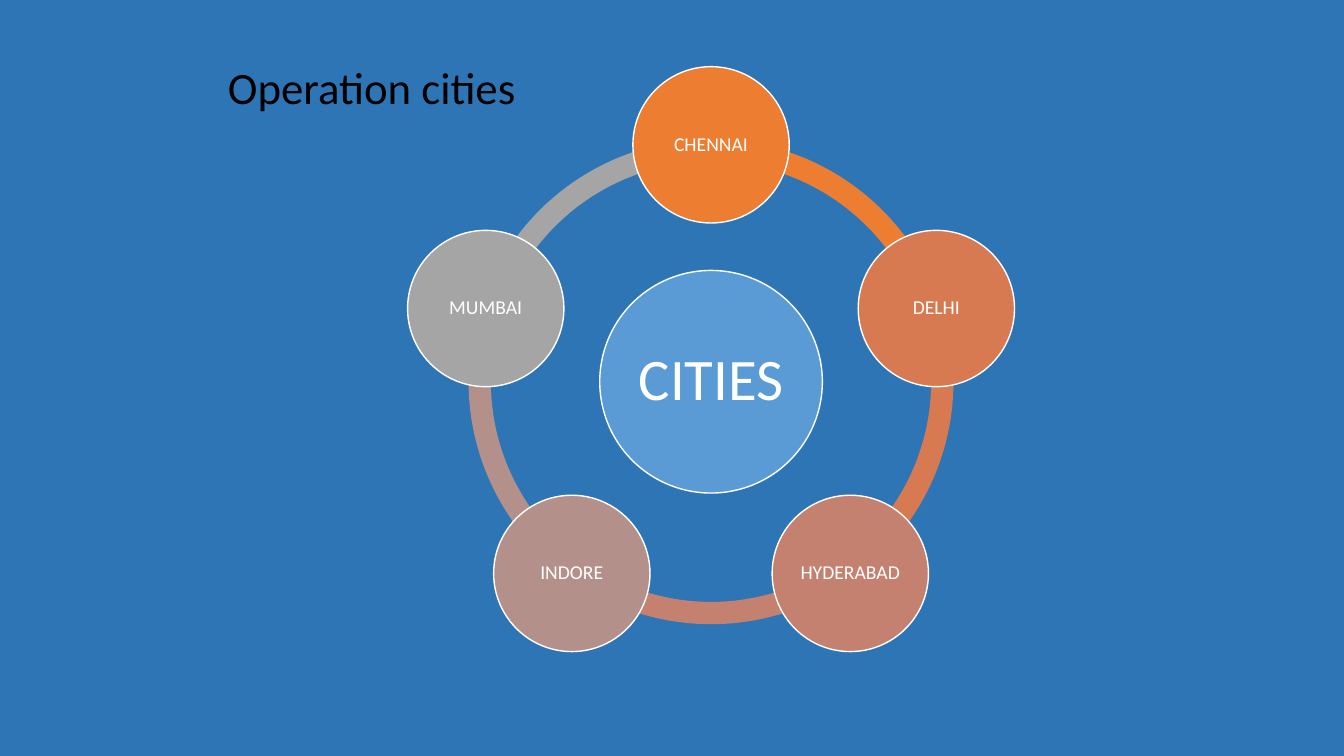
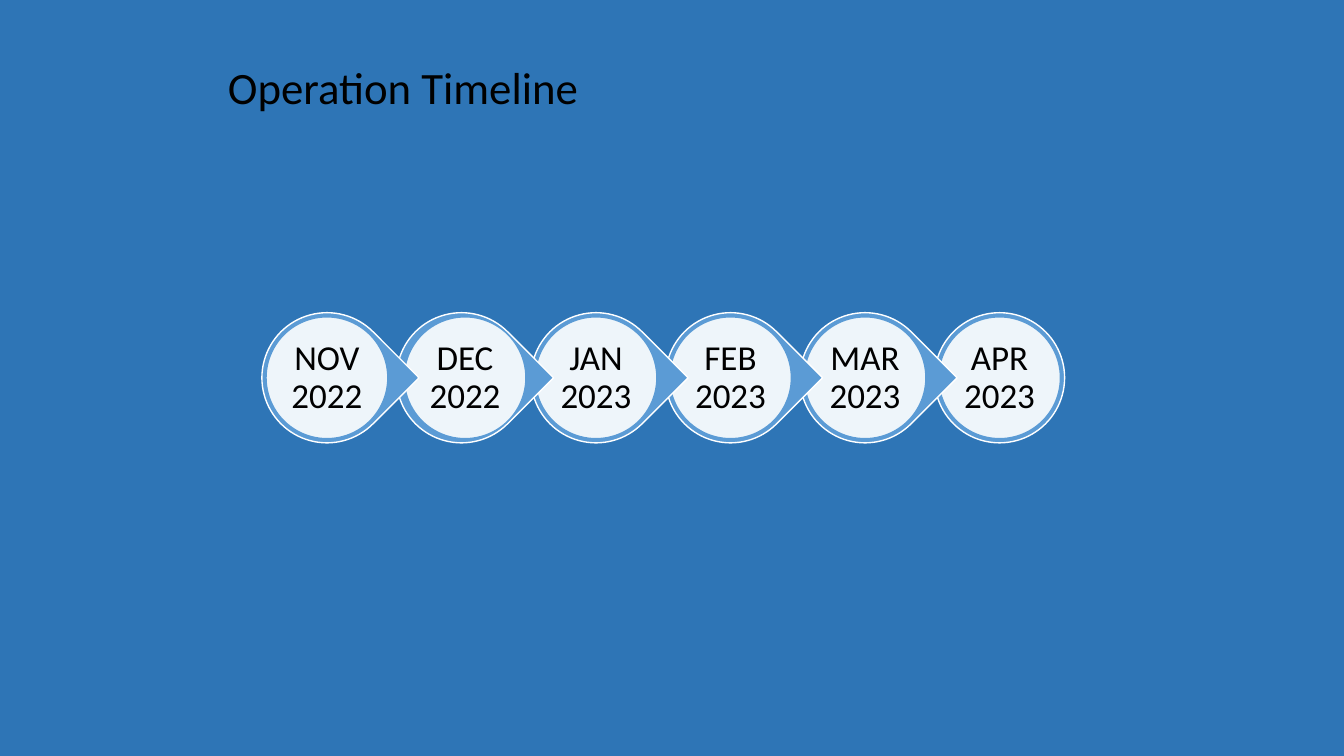
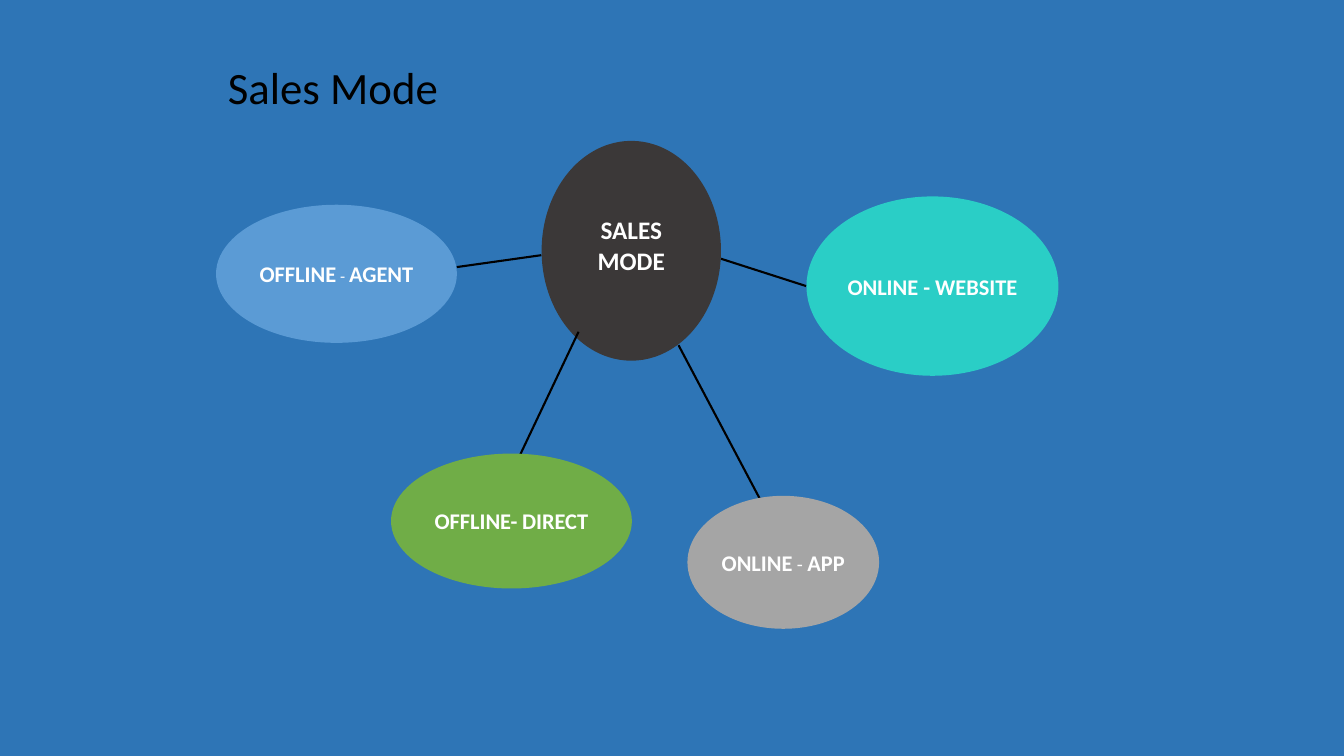
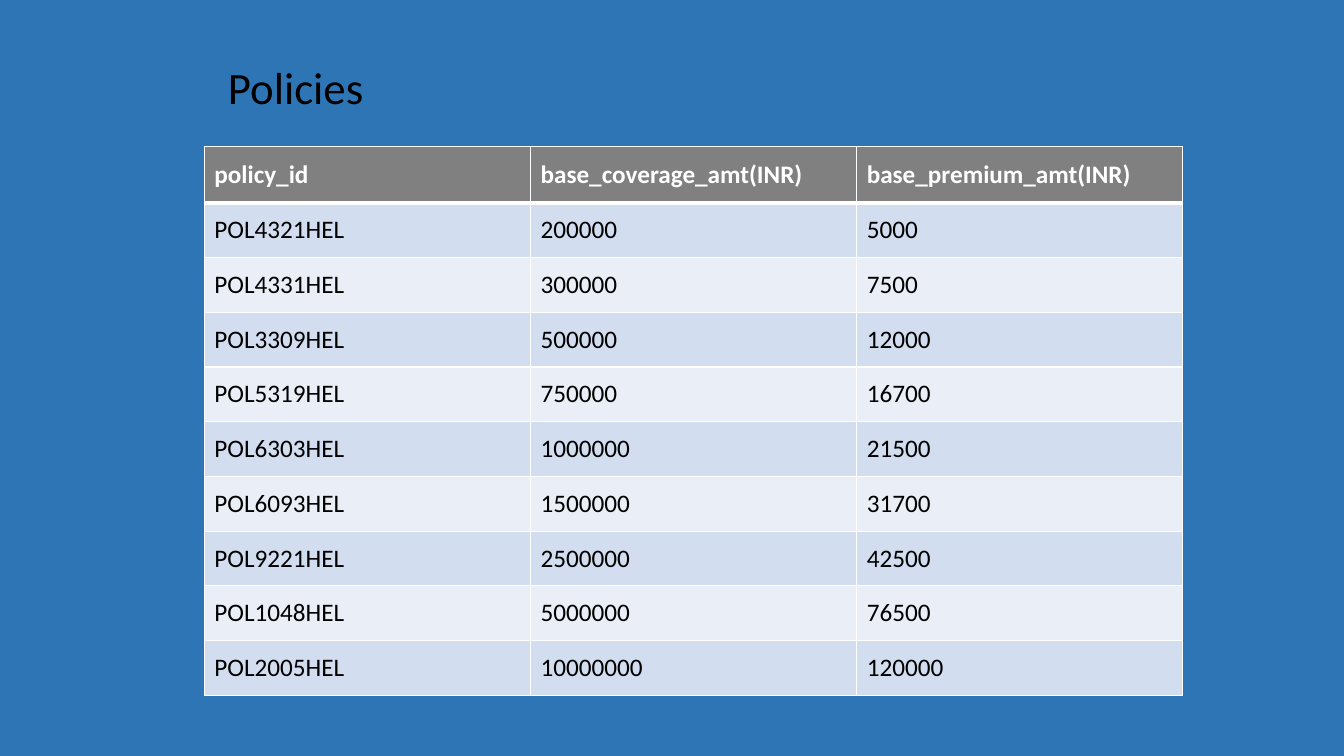
"""Build four slides on cities, timeline, sales modes and policies."""
from math import cos, radians, sin

from lxml import etree
from pptx import Presentation
from pptx.dml.color import RGBColor
from pptx.enum.shapes import MSO_CONNECTOR, MSO_SHAPE
from pptx.enum.text import MSO_ANCHOR, MSO_AUTO_SIZE, PP_ALIGN
from pptx.oxml import parse_xml
from pptx.oxml.ns import nsdecls, qn
from pptx.util import Cm, Pt

OVAL, ARC, DROP = MSO_SHAPE.OVAL, MSO_SHAPE.BLOCK_ARC, MSO_SHAPE.TEAR
STRAIGHT = MSO_CONNECTOR.STRAIGHT
TOP, MIDDLE = MSO_ANCHOR.TOP, MSO_ANCHOR.MIDDLE
LEFT, CENTER = PP_ALIGN.LEFT, PP_ALIGN.CENTER
NO_FIT = MSO_AUTO_SIZE.NONE

FONT = "Calibri"
BACK, BLUE, ORANGE, GREY = "2E75B6", "5B9BD5", "ED7D31", "A5A5A5"
WHITE, BLACK, DARK = "FFFFFF", "000000", "3B3838"
rgb = RGBColor.from_string


def write(tf, runs, color, align=LEFT, spacing=1.0):
    p = tf.paragraphs[0]
    p.alignment, p.line_spacing = align, spacing
    for text, size, bold in runs:
        if text == "\n":
            p.add_line_break()
            continue
        r = p.add_run()
        r.text = text
        fmt = {"name": FONT, "size": Pt(size), "bold": bold}
        for key, value in fmt.items():
            setattr(r.font, key, value)
        r.font.color.rgb = rgb(color)


def add_shape(s, kind, cx, cy, w, h, fill, line=None, inset=0.0):
    sp = s.shapes.add_shape(kind, Cm(cx - w / 2), Cm(cy - h / 2), Cm(w), Cm(h))
    sp.shadow.inherit = False
    sp.fill.solid()
    sp.fill.fore_color.rgb = rgb(fill)
    if line:
        sp.line.color.rgb = rgb(line)
        sp.line.width = Pt(1)
    else:
        sp.line.fill.background()
    fmt = {"word_wrap": True, "vertical_anchor": MIDDLE}
    for side in ("left", "top", "right", "bottom"):
        fmt[f"margin_{side}"] = Cm(inset)
    for key, value in fmt.items():
        setattr(sp.text_frame, key, value)
    return sp


prs = Presentation()
prs.slide_width, prs.slide_height = Cm(33.87), Cm(19.05)
bg = prs.slide_master.background.fill
bg.solid()
bg.fore_color.rgb = rgb(BACK)

layout = prs.slide_layouts[5]
title_box = {"left": Cm(5.49), "top": Cm(1.38), "width": Cm(11.43), "height": Cm(1.63)}
for key, value in title_box.items():
    setattr(layout.placeholders[0], key, value)

slides = []
for title in ("Operation cities", "Operation Timeline", "Sales Mode", "Policies"):
    s = prs.slides.add_slide(layout)
    tf = s.shapes.title.text_frame
    tf.auto_size, tf.vertical_anchor = NO_FIT, TOP
    write(tf, [(title, 32, False)], BLACK)
    slides.append(s)
cities, timeline, sales, policies = slides

nodes = [
    ("CHENNAI", ORANGE),
    ("DELHI", "D87A51"),
    ("HYDERABAD", "C48170"),
    ("INDORE", "B4908B"),
    ("MUMBAI", GREY),
]
cx, cy, radius = 17.92, 9.62, 5.97
step = 360 / len(nodes)
for i, (name, color) in enumerate(nodes):
    start = 270 + i * step
    sp = add_shape(cities, ARC, cx, cy, 12.22, 12.22, color)
    sp.adjustments[0] = start % 360 * 0.6
    sp.adjustments[1] = (start + step) % 360 * 0.6
    sp.adjustments[2] = 0.046
hub = add_shape(cities, OVAL, cx, cy, 5.61, 5.61, BLUE, WHITE, 0.15)
write(hub.text_frame, [("CITIES", 42, False)], WHITE, CENTER, 0.9)
for i, (name, color) in enumerate(nodes):
    angle = radians(270 + i * step)
    x, y = cx + radius * cos(angle), cy + radius * sin(angle)
    sp = add_shape(cities, OVAL, x, y, 3.94, 3.94, color, WHITE, 0.05)
    write(sp.text_frame, [(name, 14, False)], WHITE, CENTER, 0.9)

months = ["NOV 2022", "DEC 2022", "JAN 2023", "FEB 2023", "MAR 2023", "APR 2023"]
nudges = {"DEC 2022": 0.09}
last = len(months) - 1
for i in range(last, -1, -1):
    x, y = 8.24 + 3.39 * i, 9.52
    sp = add_shape(timeline, OVAL if i == last else DROP, x, y, 3.28, 3.28, BLUE, WHITE)
    if i < last:
        sp.rotation = 45
    x += nudges.get(months[i], 0)
    sp = add_shape(timeline, OVAL, x, y, 3.07, 3.07, WHITE, BLUE, 0.08)
    clr = sp._element.spPr.find(qn("a:solidFill"))[0]
    etree.SubElement(clr, qn("a:alpha"), val="90000")
    month, year = months[i].split()
    runs = [(month, 25, False), ("\n", 25, False), (year, 25, False)]
    write(sp.text_frame, runs, BLACK, CENTER, 0.9)

hub = add_shape(sales, OVAL, 15.91, 6.32, 4.52, 5.54, DARK, inset=0.25)
hub.text_frame.margin_bottom = Cm(0.55)
write(hub.text_frame, [("SALES MODE", 18, True)], WHITE, CENTER)
modes = [
    (19.74, 14.17, 4.83, 3.35, GREY, (17.1, 8.7, 19.35, 12.95),
     [("ONLINE", 16, True), (" - ", 14, False), ("APP", 16, True)]),
    (8.48, 6.9, 6.07, 3.48, BLUE, (13.64, 6.43, 11.51, 6.73),
     [("OFFLINE", 16, True), (" - ", 12, False), ("AGENT", 16, True)]),
    (23.5, 7.21, 6.35, 4.52, "2ACEC6", (18.17, 6.52, 20.32, 7.21),
     [("ONLINE - WEBSITE", 16, True)]),
    (12.89, 13.13, 6.07, 3.4, "70AD47", (14.58, 8.36, 13.06, 11.56),
     [("OFFLINE-", 16, True), (" ", 14, False), ("DIRECT", 16, True)]),
]
for x, y, w, h, color, ends, runs in modes:
    line = sales.shapes.add_connector(STRAIGHT, *[Cm(v) for v in ends])
    line.line.color.rgb = rgb(BLACK)
    line.line.width = Pt(1.5)
    etree.SubElement(line._element.spPr, qn("a:effectLst"))
    sp = add_shape(sales, OVAL, x, y, w, h, color)
    write(sp.text_frame, runs, WHITE, CENTER)

rows = [
    ("policy_id", "base_coverage_amt(INR)", "base_premium_amt(INR)"),
    ("POL4321HEL", "200000", "5000"),
    ("POL4331HEL", "300000", "7500"),
    ("POL3309HEL", "500000", "12000"),
    ("POL5319HEL", "750000", "16700"),
    ("POL6303HEL", "1000000", "21500"),
    ("POL6093HEL", "1500000", "31700"),
    ("POL9221HEL", "2500000", "42500"),
    ("POL1048HEL", "5000000", "76500"),
    ("POL2005HEL", "10000000", "120000"),
]
frame = policies.shapes.add_table(
    len(rows), 3, Cm(5.15), Cm(3.69), Cm(24.66), Cm(13.84))
table = frame.table
for col in table.columns:
    col.width = Cm(8.22)
for i, values in enumerate(rows):
    table.rows[i].height = Cm(1.38 if i else 1.42)
    widths = {"L": 1, "R": 1, "T": 3 if i == 1 else 1, "B": 1 if i else 3}
    for j, value in enumerate(values):
        cell = table.cell(i, j)
        cell.vertical_anchor = MIDDLE
        tcPr = cell._tc.get_or_add_tcPr()
        for side, width in widths.items():
            tcPr.append(parse_xml(
                f'<a:ln{side} {nsdecls("a")} w="{Pt(width)}"><a:solidFill>'
                f'<a:srgbClr val="{WHITE}"/></a:solidFill></a:ln{side}>'))
        cell.fill.solid()
        fill = ("EAEFF7", "D2DEEF")[i % 2] if i else "808080"
        cell.fill.fore_color.rgb = rgb(fill)
        write(cell.text_frame, [(value, 18, i == 0)], BLACK if i else WHITE)

prs.save("out.pptx")
